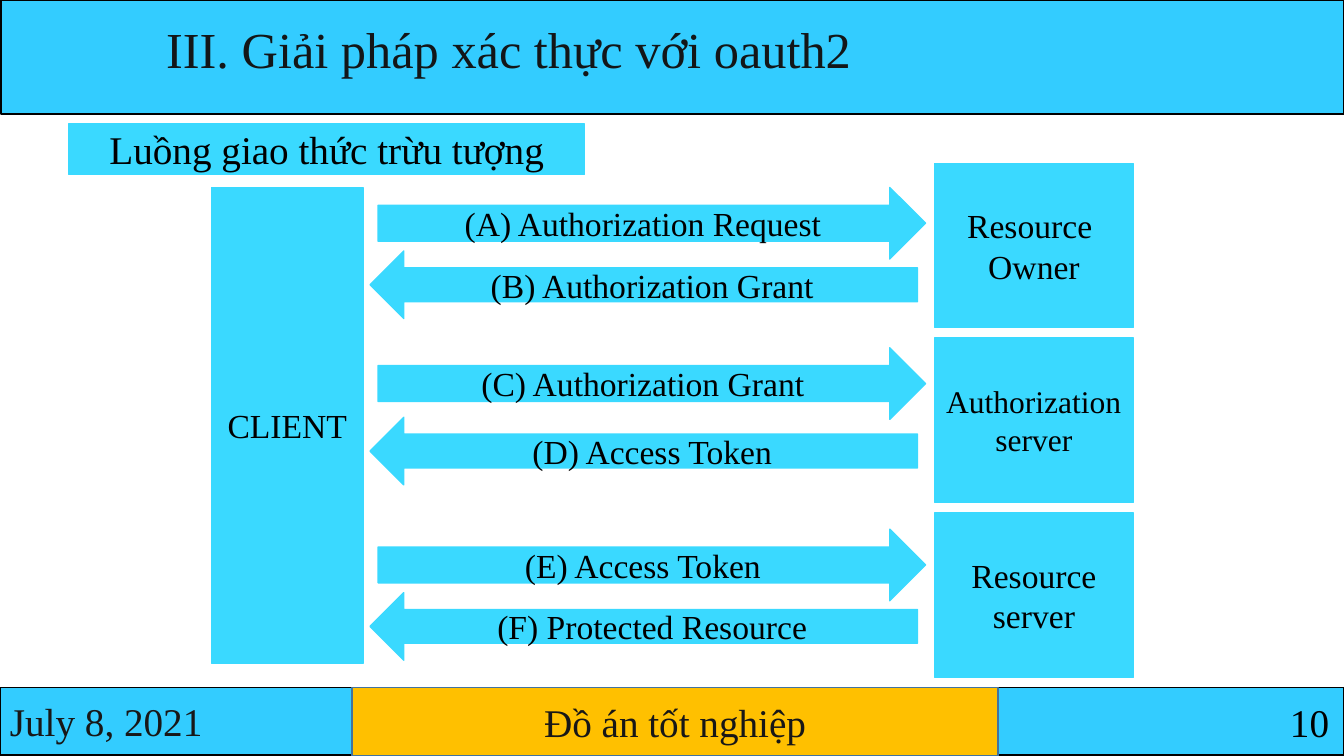
"""Build the slide on the abstract OAuth2 protocol flow."""
from pptx import Presentation
from pptx.dml.color import RGBColor
from pptx.enum.shapes import MSO_SHAPE
from pptx.enum.text import MSO_ANCHOR, PP_ALIGN
from pptx.util import Inches, Pt

RECT = MSO_SHAPE.RECTANGLE
RIGHT_ARROW = MSO_SHAPE.RIGHT_ARROW
LEFT_ARROW = MSO_SHAPE.LEFT_ARROW
TOP, MIDDLE = MSO_ANCHOR.TOP, MSO_ANCHOR.MIDDLE
LEFT, CENTER, RIGHT = PP_ALIGN.LEFT, PP_ALIGN.CENTER, PP_ALIGN.RIGHT

FONT = "Times New Roman"
COLORS = {
    "band": "33CCFF",
    "flow": "3AD9FF",
    "gold": "FFC000",
    "edge": "43739E",
    "ink": "181717",
    "title": "131618",
    "black": "000000",
}
WIDTH, HEIGHT = 13.33, 7.5

deck = Presentation()
deck.slide_width, deck.slide_height = Inches(WIDTH), Inches(HEIGHT)
slide = deck.slides.add_slide(deck.slide_layouts[6])


def write(shape, lines, size, color="black", align=CENTER, anchor=MIDDLE):
    frame = shape.text_frame
    frame.word_wrap = True
    frame.vertical_anchor = anchor
    for index, line in enumerate(lines):
        para = frame.add_paragraph() if index else frame.paragraphs[0]
        para.alignment = align
        run = para.add_run()
        run.text = line
        run.font.name = FONT
        run.font.size = Pt(size)
        run.font.color.rgb = RGBColor.from_string(COLORS[color])


def draw(kind, box, fill="flow", line="flow"):
    shape = slide.shapes.add_shape(kind, *map(Inches, box))
    shape.shadow.inherit = False
    shape.fill.solid()
    shape.fill.fore_color.rgb = RGBColor.from_string(COLORS[fill])
    shape.line.color.rgb = RGBColor.from_string(COLORS[line])
    shape.line.width = Pt(1)
    return shape


foot = 6.82
draw(RECT, (0.01, 0, WIDTH - 0.01, 1.13), "band", "black")
date = draw(RECT, (0, foot, WIDTH, 0.67), "band", "black")
write(date, ["July 8, 2021"], 28, "ink", LEFT)
badge = draw(RECT, (3.49, foot, 6.41, HEIGHT - foot), "gold", "edge")
write(badge, ["Đồ án tốt nghiệp"], 28, "ink")

labels = [
    ((10.39, 6.88, 2.89, 0.57), "10", 28, "black", RIGHT),
    ((1.55, 0.13, 8.03, 0.71), "III. Giải pháp xác thực với oauth2", 36, "title", LEFT),
]
for box, text, size, color, align in labels:
    label = slide.shapes.add_textbox(*map(Inches, box))
    write(label, [text], size, color, align, TOP)

write(draw(RECT, (0.68, 1.23, 5.12, 0.5)), ["Luồng giao thức trừu tượng"], 28)
write(draw(RECT, (2.1, 1.86, 1.5, 4.72)), ["CLIENT"], 24)

servers = [
    (["Resource ", "Owner"], 24),
    (["Authorization server"], 22.5),
    (["Resource server"], 24),
]
for row, (lines, size) in enumerate(servers):
    write(draw(RECT, (9.27, 1.62 + row * 1.735, 1.97, 1.63)), lines, size)

flows = [
    (1.86, "(A) Authorization Request", 2.49, "(B) Authorization Grant"),
    (3.45, "(C) Authorization Grant", 4.14, "(D) Access Token"),
    (5.25, "(E) Access Token", 5.88, "(F) Protected Resource"),
]
for ask_top, ask, reply_top, reply in flows:
    write(draw(RIGHT_ARROW, (3.75, ask_top, 5.43, 0.71)), [ask], 24)
    write(draw(LEFT_ARROW, (3.67, reply_top, 5.43, 0.67)), [reply], 24)

deck.save("out.pptx")
